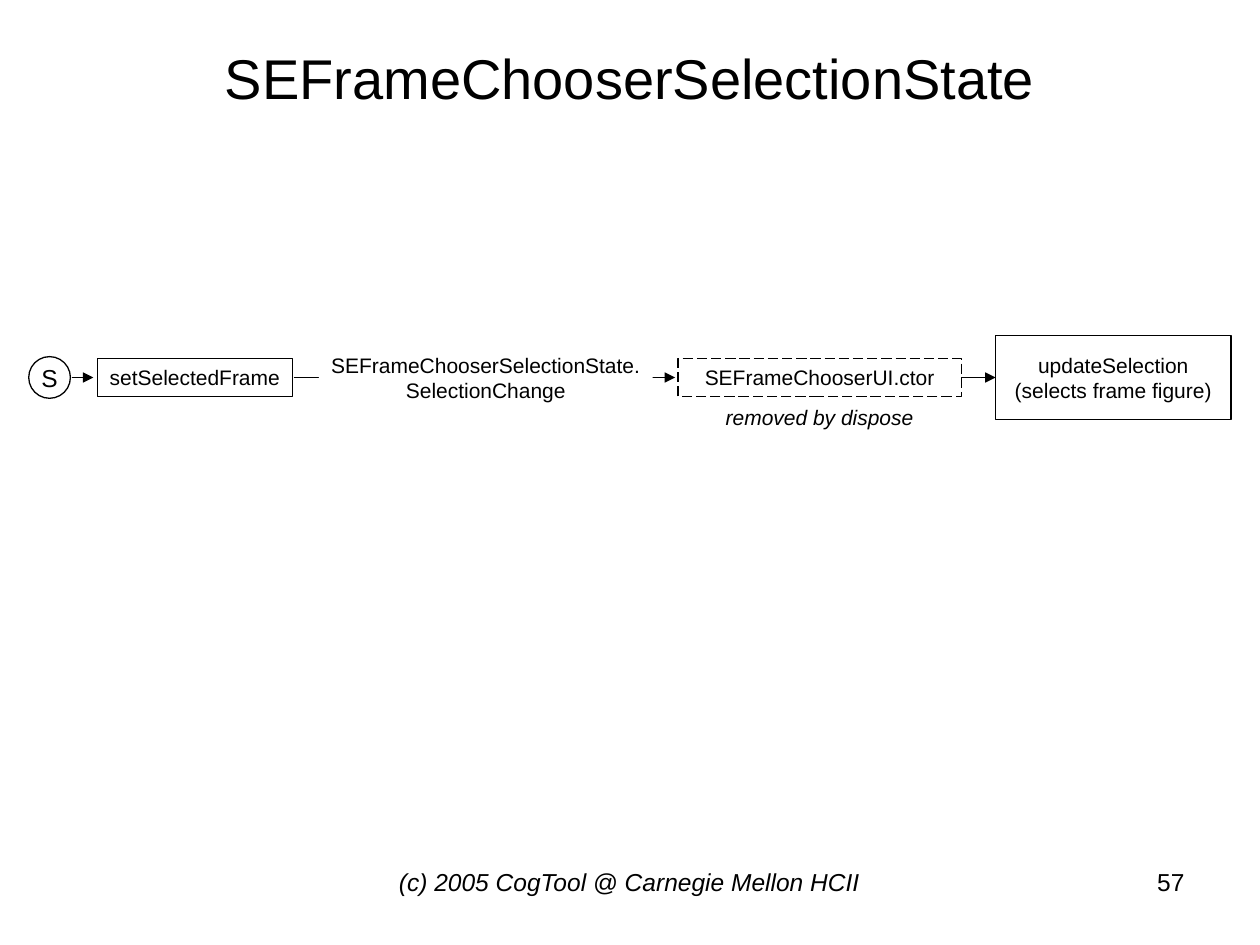
from lxml import etree
from pptx import Presentation, util as u
from pptx.dml.color import RGBColor
from pptx.enum import dml, shapes, text
from pptx.oxml.ns import qn

COLORS = {"ink": "000000", "paper": "FFFFFF"}
FONT = "Arial"
FLOW_Y = 7.61  # cm, centre line of the flow
LINE_WIDTH = u.Pt(0.75)

TITLE = "SEFrameChooserSelectionState"
TITLE_BOX = (1.27, 0.76, 22.86, 1.57)

RECT, OVAL = shapes.MSO_SHAPE.RECTANGLE, shapes.MSO_SHAPE.OVAL
CENTER, RIGHT = text.PP_ALIGN.CENTER, text.PP_ALIGN.RIGHT
TOP, MIDDLE = text.MSO_ANCHOR.TOP, text.MSO_ANCHOR.MIDDLE

# lines, preset, left, width, height, format
STEPS = [
    (["setSelectedFrame"], RECT, 1.96, 3.94, 0.77, {"wrap": False}),
    (["SEFrameChooserSelectionState.", "SelectionChange"], RECT, 6.43, 6.73, 1.27,
     {"wrap": False, "anchor": TOP, "fill": "paper", "outline": False}),
    (["SEFrameChooserUI.ctor"], RECT, 13.67, 5.71, 0.77, {"dashed": True}),
    (["updateSelection", "(selects frame figure)"], RECT, 20.07, 4.75, 1.7, {}),
    (["S"], OVAL, 0.58, 0.84, 0.84, {"wrap": False, "size": 14}),
]
# start and end of each arrow along the centre line
ARROWS = [(5.92, 13.61), (19.38, 20.07), (1.45, 1.88)]

# line, box, format
NOTES = [
    ("removed by dispose", (14.2, 8.03, 4.65, 0.77), {"italic": True}),
    ("(c) 2005 CogTool @ Carnegie Mellon HCII", (7.19, 17.35, 11, 1.32),
     {"size": 14, "italic": True, "anchor": TOP}),
    ("57", (18.21, 17.35, 5.92, 1.32), {"size": 14, "align": RIGHT, "anchor": TOP}),
]


def color(name):
    return RGBColor.from_string(COLORS[name])


def write(frame, lines, size=12, italic=False, align=CENTER, anchor=MIDDLE, wrap=True):
    frame.text = "\n".join(lines)
    frame_format = {
        "word_wrap": wrap, "vertical_anchor": anchor,
        "auto_size": text.MSO_AUTO_SIZE.NONE,
        "margin_left": u.Cm(0.25), "margin_right": u.Cm(0.25),
        "margin_top": u.Cm(0.13), "margin_bottom": u.Cm(0.13),
    }
    for key, value in frame_format.items():
        setattr(frame, key, value)
    for paragraph in frame.paragraphs:
        paragraph.alignment = align
        font_format = {"name": FONT, "size": u.Pt(size), "italic": italic}
        for key, value in font_format.items():
            setattr(paragraph.font, key, value)
        paragraph.font.color.rgb = color("ink")


def add_step(slide, lines, preset, left, width, height, fill=None,
             outline=True, dashed=False, **text_format):
    """Add one flow step, centred vertically on the flow line."""
    box = (left, FLOW_Y - height / 2, width, height)
    step = slide.shapes.add_shape(preset, *map(u.Cm, box))
    step.shadow.inherit = False
    if fill:
        step.fill.solid()
        step.fill.fore_color.rgb = color(fill)
    else:
        step.fill.background()
    if outline:
        step.line.color.rgb = color("ink")
        step.line.width = LINE_WIDTH
        if dashed:
            step.line.dash_style = dml.MSO_LINE.LONG_DASH
    else:
        step.line.fill.background()
    write(step.text_frame, lines, **text_format)


def add_arrow(slide, start, end):
    arrow = slide.shapes.add_connector(
        shapes.MSO_CONNECTOR.STRAIGHT, *map(u.Cm, (start, FLOW_Y, end, FLOW_Y)))
    arrow.line.color.rgb = color("ink")
    arrow.line.width = LINE_WIDTH
    etree.SubElement(arrow.line._get_or_add_ln(), qn("a:tailEnd"), type="triangle")
    etree.SubElement(arrow._element.spPr, qn("a:effectLst"))


def main():
    deck = Presentation()
    deck.slide_width, deck.slide_height = u.Cm(25.4), u.Cm(19.05)
    slide = deck.slides.add_slide(deck.slide_layouts[5])

    title = slide.shapes.title
    for side, value in zip(("left", "top", "width", "height"), TITLE_BOX):
        setattr(title, side, u.Cm(value))
    write(title.text_frame, [TITLE], size=32)

    # arrows go first: the event label covers the middle of the longest one
    for start, end in ARROWS:
        add_arrow(slide, start, end)
    for *step, step_format in STEPS:
        add_step(slide, *step, **step_format)
    for line, box, note_format in NOTES:
        note = slide.shapes.add_textbox(*map(u.Cm, box))
        write(note.text_frame, [line], **note_format)

    deck.save("out.pptx")


if __name__ == "__main__":
    main()
